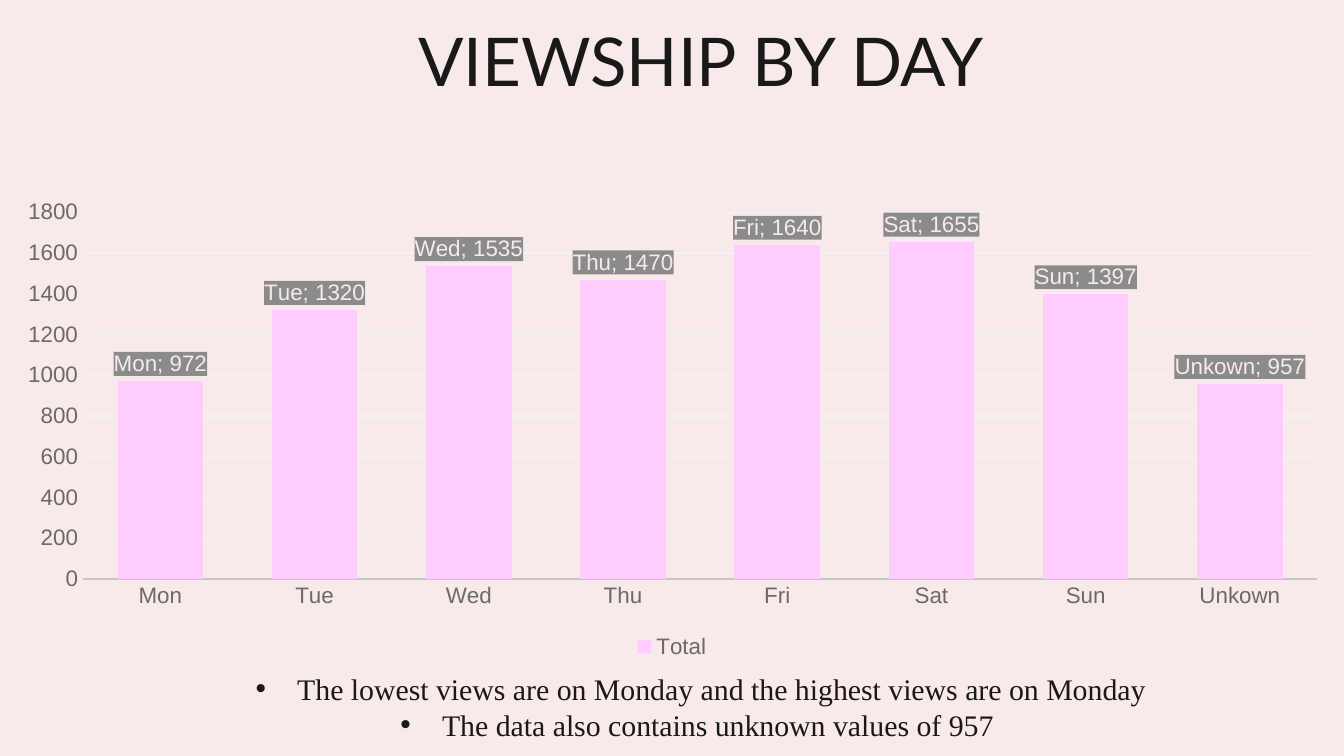
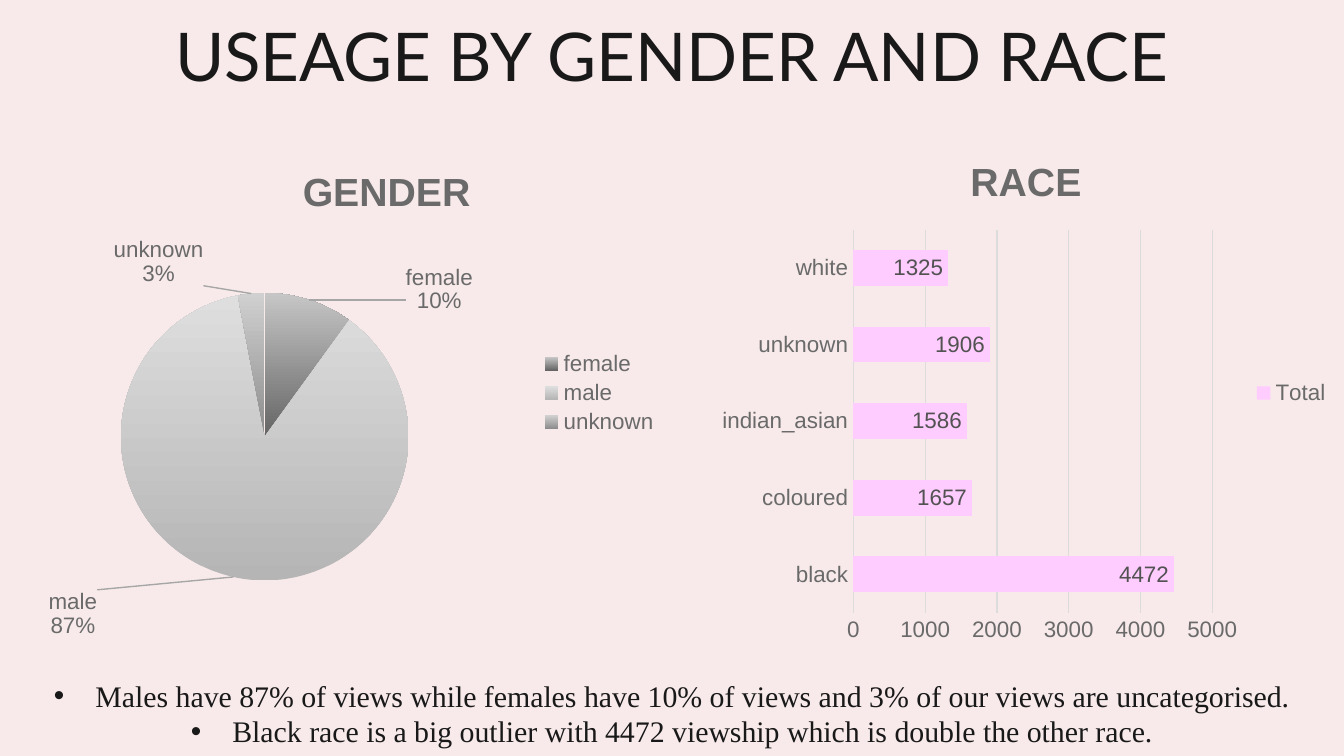
"""Builds two slides of viewing figures by day, gender and race."""
from lxml.etree import SubElement
from pptx import Presentation
from pptx.chart.data import CategoryChartData
from pptx.dml.color import RGBColor
from pptx.enum.chart import XL_CHART_TYPE as Kind, XL_LABEL_POSITION as LabelSpot
from pptx.enum.chart import XL_LEGEND_POSITION as LegendSpot, XL_TICK_MARK as Tick
from pptx.enum.text import MSO_ANCHOR as Anchor, PP_ALIGN as Align
from pptx.oxml import parse_xml
from pptx.oxml.ns import nsdecls, qn
from pptx.util import Inches, Pt

BACKGROUND = RGBColor(0xF8, 0xEA, 0xEA)
INK = RGBColor(0x19, 0x19, 0x19)
GREY = RGBColor(0x6A, 0x6A, 0x6A)
DARK_GREY = RGBColor(0x52, 0x52, 0x52)
PINK = RGBColor(0xFF, 0xCC, 0xFF)
LABEL_BACK = RGBColor(0x8B, 0x8B, 0x8B)
LEADER_GREY = RGBColor(0xA6, 0xA6, 0xA6)
AXIS_GREY = RGBColor(0xC6, 0xC6, 0xC6)
PALE_GRID = RGBColor(0xF3, 0xF3, 0xF3)
GRID = RGBColor(0xDC, 0xDC, 0xDC)
SLICE_SHADES = [
    (RGBColor(0x65, 0x65, 0x65), RGBColor(0xC6, 0xC6, 0xC6)),
    (RGBColor(0xB5, 0xB5, 0xB5), RGBColor(0xDE, 0xDE, 0xDE)),
    (RGBColor(0x8C, 0x8C, 0x8C), RGBColor(0xD0, 0xD0, 0xD0)),
]
SLICE_LABEL_SHIFTS = [(0.14, 0.04), (-0.2, 0.01), (-0.07, 0)]


def style_font(font, size, color, name="Arial", bold=False):
    """Set the face, size and colour of a font."""
    font.name, font.size, font.bold = name, Pt(size), bold
    font.color.rgb = color


def add_slide(deck):
    """Add a blank slide with the shared background."""
    page = deck.slides.add_slide(deck.slide_layouts[6])
    page.background.fill.solid()
    page.background.fill.fore_color.rgb = BACKGROUND
    return page


def add_title(page, box, text, anchor=Anchor.TOP):
    """Write the slide title inside a box."""
    frame = page.shapes.add_textbox(*map(Inches, box)).text_frame
    frame.word_wrap, frame.vertical_anchor = True, anchor
    frame.margin_top = frame.margin_bottom = Inches(0.1)
    frame.text = text
    para = frame.paragraphs[0]
    para.alignment, para.line_spacing = Align.CENTER, 0.8
    style_font(para.runs[0].font, 36, INK, "Lato")


def add_findings(page, box, lines):
    """Write centred bullet lines inside a box."""
    frame = page.shapes.add_textbox(*map(Inches, box)).text_frame
    frame.word_wrap = True
    frame.text = "\n".join(lines)
    for para in frame.paragraphs:
        para.alignment = Align.CENTER
        style_font(para.runs[0].font, 16, INK, "Times New Roman")
        props = para._p.get_or_add_pPr()
        props.set("marL", str(Inches(0.31)))
        props.set("indent", str(Inches(-0.31)))
        SubElement(props, qn("a:buFont"), typeface="Arial")
        SubElement(props, qn("a:buChar"), char="•")


def manual_layout(inner=False, **parts):
    """Make a layout element from fractions of the chart or offsets."""
    target = '<c:layoutTarget val="inner"/>' if inner else ""
    values = "".join(f'<c:{key} val="{value}"/>' for key, value in parts.items())
    return parse_xml(f'<c:layout {nsdecls("c")}><c:manualLayout>{target}'
                     f'{values}</c:manualLayout></c:layout>')


def place_plot(chart, box, plot_box):
    """Fix the plot area, given in inches within the chart box."""
    width, height = box[2:]
    left, top, plot_width, plot_height = plot_box
    area = chart._chartSpace.chart.plotArea
    for old in area.findall(qn("c:layout")):
        area.remove(old)
    area.insert(0, manual_layout(
        inner=True, xMode="edge", yMode="edge", x=left / width, y=top / height,
        w=plot_width / width, h=plot_height / height))


def add_chart(page, box, kind, name, categories, values, legend, plot_box):
    """Add a chart with one series, a legend and a fixed plot area."""
    data = CategoryChartData()
    data.categories = categories
    data.add_series(name, values)
    chart = page.shapes.add_chart(kind, *map(Inches, box), data).chart
    style_font(chart.font, 10, INK)
    chart.has_title = False
    chart.has_legend = True
    chart.legend.position = legend
    chart.legend.include_in_layout = False
    style_font(chart.legend.font, 12, GREY)
    place_plot(chart, box, plot_box)
    return chart


def add_chart_title(chart, text, x, y):
    """Give the chart a bold heading at fractions of its box."""
    chart.has_title = True
    title = chart.chart_title
    title.include_in_layout = False
    title.text_frame.text = text
    style_font(title.text_frame.paragraphs[0].runs[0].font, 21, GREY, bold=True)
    element = title._element
    for old in element.findall(qn("c:layout")):
        element.remove(old)
    layout = manual_layout(xMode="edge", yMode="edge", x=x, y=y)
    element.find(qn("c:tx")).addnext(layout)


def set_separator(labels, text):
    """Set the text between the parts of a data label."""
    separator = parse_xml(f'<c:separator {nsdecls("c")}>{text}</c:separator>')
    labels.find(qn("c:showBubbleSize")).addnext(separator)


def add_leader_lines(labels):
    """Join moved pie labels to their slices with thin grey lines."""
    for tag in ("c:showLeaderLines", "c:leaderLines"):
        for old in labels.findall(qn(tag)):
            labels.remove(old)
    SubElement(labels, qn("c:showLeaderLines"), val="1")
    labels.append(parse_xml(
        f'<c:leaderLines {nsdecls("c", "a")}><c:spPr><a:ln w="{Pt(0.75)}"><a:solidFill>'
        f'<a:srgbClr val="{LEADER_GREY}"/></a:solidFill></a:ln></c:spPr></c:leaderLines>'))


def style_bars(chart, top, step, axis_line, grid, gap, overlap, label_color, spot):
    """Style the axes, bars and value labels of a bar chart."""
    plot, groups, scale = chart.plots[0], chart.category_axis, chart.value_axis
    plot.gap_width, plot.overlap, plot.vary_by_categories = gap, overlap, False
    for axis in (groups, scale):
        axis.major_tick_mark = axis.minor_tick_mark = Tick.NONE
        style_font(axis.tick_labels.font, 12, GREY)
    axis_color, axis_width = axis_line
    groups.format.line.color.rgb = axis_color
    groups.format.line.width = Pt(axis_width)
    scale.minimum_scale, scale.maximum_scale, scale.major_unit = 0, top, step
    scale.format.line.fill.background()
    scale.major_gridlines.format.line.color.rgb = grid
    scale.major_gridlines.format.line.width = Pt(0.75)
    series = plot.series[0]
    series.format.fill.solid()
    series.format.fill.fore_color.rgb = PINK
    labels = series.data_labels
    labels.show_value, labels.position = True, spot
    style_font(labels.font, 12, label_color)
    return labels


def add_day_chart(page, box):
    """Draw the views for each day as columns."""
    chart = add_chart(page, box, Kind.COLUMN_CLUSTERED, "Total",
                      ["Mon", "Tue", "Wed", "Thu", "Fri", "Sat", "Sun", "Unkown"],
                      [972, 1320, 1535, 1470, 1640, 1655, 1397, 957],
                      LegendSpot.BOTTOM, (0.62, 0.81, 9.18, 2.73))
    labels = style_bars(chart, 1800, 200, (AXIS_GREY, 1.25), PALE_GRID, 80, 25,
                        BACKGROUND, LabelSpot.OUTSIDE_END)
    labels.show_category_name = True
    element = labels._element
    set_separator(element, "; ")
    element.find(qn("c:txPr")).addprevious(parse_xml(
        f'<c:spPr {nsdecls("c", "a")}><a:solidFill><a:srgbClr val="{LABEL_BACK}"/>'
        '</a:solidFill></c:spPr>'))


def add_gender_chart(page, box):
    """Draw the share of each gender as a pie."""
    chart = add_chart(page, box, Kind.PIE, "Series 1", ["female", "male", "unknown"],
                      [10, 87, 3], LegendSpot.RIGHT, (0.9, 1.18, 2.14, 2.14))
    add_chart_title(chart, "GENDER", 0.44, 0.05)
    series = chart.plots[0].series[0]
    labels = series.data_labels
    labels.show_value = False
    labels.show_category_name = labels.show_percentage = True
    labels.position = LabelSpot.OUTSIDE_END
    style_font(labels.font, 12, GREY)
    set_separator(labels._element, "\n")
    add_leader_lines(labels._element)
    for index, (shades, shift) in enumerate(zip(SLICE_SHADES, SLICE_LABEL_SHIFTS)):
        point = series.points[index]
        fill = point.format.fill
        fill.gradient()
        fill.gradient_angle = 90
        for stop, shade in zip(fill.gradient_stops, shades):
            stop.color.rgb = shade
        style_font(point.data_label.font, 12, GREY)
        point.data_label.position = LabelSpot.OUTSIDE_END
        label = labels._element.findall(qn("c:dLbl"))[index]
        label.find(qn("c:idx")).addnext(manual_layout(x=shift[0], y=shift[1]))
        for part, shown in (("Val", "0"), ("CatName", "1"), ("Percent", "1")):
            label.find(qn(f"c:show{part}")).set("val", shown)
        set_separator(label, "\n")


def add_race_chart(page, box):
    """Draw the views for each race as bars."""
    chart = add_chart(page, box, Kind.BAR_CLUSTERED, "Total",
                      ["black", "coloured", "indian_asian", "unknown", "white"],
                      [4472, 1657, 1586, 1906, 1325],
                      LegendSpot.RIGHT, (1.07, 0.71, 2.67, 2.85))
    add_chart_title(chart, "RACE", 0.4, 0.03)
    style_bars(chart, 5000, 1000, (GRID, 1), GRID, 115, -20,
               DARK_GREY, LabelSpot.INSIDE_END)


def build_day_slide(deck):
    """Build the slide on views by day."""
    page = add_slide(deck)
    add_title(page, (0.52, 0.16, 9.39, 0.69), "VIEWSHIP BY DAY")
    add_day_chart(page, (0, 0.77, 10, 4.17))
    add_findings(page, (0.73, 4.94, 8.97, 0.64), [
        "The lowest views are on Monday and the highest views are on Monday",
        "The data also contains unknown values of 957 "])


def build_people_slide(deck):
    """Build the slide on views by gender and race."""
    page = add_slide(deck)
    add_title(page, (0, 0, 10, 0.8), "USEAGE BY GENDER AND RACE", Anchor.BOTTOM)
    add_findings(page, (0, 4.99, 10, 0.64), [
        "Males have 87% of views while females have 10% of views "
        "and 3% of our views are uncategorised.",
        "Black race is a big outlier with 4472 viewship "
        "which is double the other race."])
    add_gender_chart(page, (0, 1, 5, 3.85))
    add_race_chart(page, (5.28, 1, 4.72, 3.85))


def main():
    """Build and save the deck in the 16:9 format."""
    deck = Presentation()
    deck.slide_width = Inches(10)
    deck.slide_height = deck.slide_width * 9 // 16
    build_day_slide(deck)
    build_people_slide(deck)
    deck.save("out.pptx")


if __name__ == "__main__":
    main()
